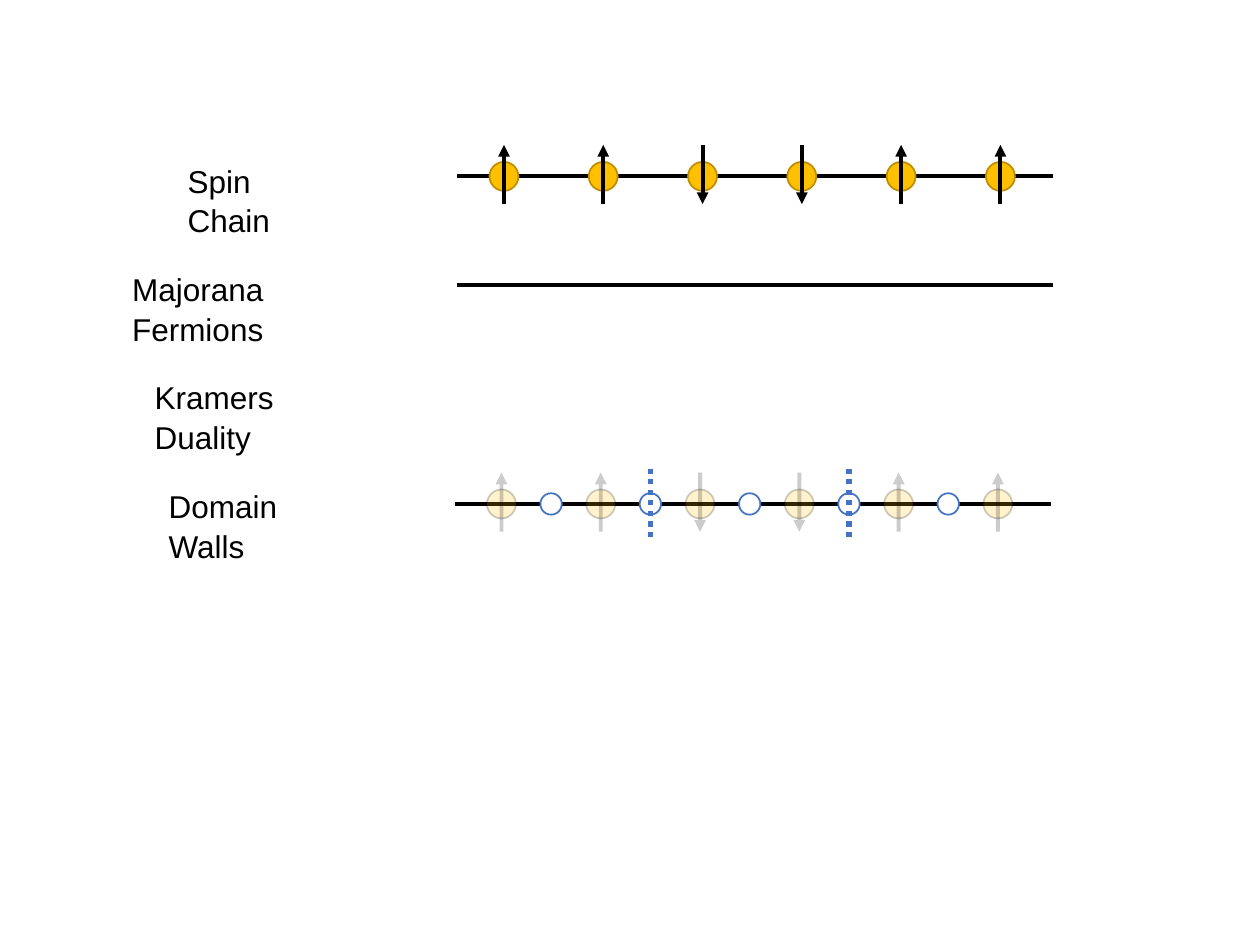
from lxml.etree import SubElement
from pptx import Presentation
from pptx.dml.color import RGBColor
from pptx.enum.dml import MSO_LINE
from pptx.enum.shapes import MSO_CONNECTOR, MSO_SHAPE
from pptx.oxml.ns import qn
from pptx.util import Inches, Pt

BLACK = RGBColor(0x00, 0x00, 0x00)
WHITE = RGBColor(0xFF, 0xFF, 0xFF)
GOLD = RGBColor(0xFF, 0xC0, 0x00)
DARK_GOLD = RGBColor(0xBD, 0x8E, 0x00)
BLUE = RGBColor(0x44, 0x72, 0xC4)

SPINS_UP = [True, True, False, False, True, True]
STEP = 3.94 / 5
CHAIN_WIDTH = 6 * STEP
FIRST_SITE = 0.37

LABELS = [
    ("Spin\vChain", 1.39, 1.35),
    ("Majorana\vFermions", 0.95, 2.22),
    ("Kramers\vDuality", 1.13, 1.87),
    ("Domain\vWalls", 1.24, 1.65),
]


def set_alpha(fill, percent):
    """Make a solid fill partly transparent."""
    color = fill._xPr.find(qn("a:solidFill"))[0]
    SubElement(color, qn("a:alpha"), val=str(percent * 1000))


def add_text(s, text, x, y, w, h, size=18, color=BLACK, font="Arial", spacing=1.05):
    """Add a formatted text box."""
    tf = s.shapes.add_textbox(Inches(x), Inches(y), Inches(w), Inches(h)).text_frame
    tf.word_wrap = True
    p = tf.paragraphs[0]
    p.text = text
    p.line_spacing = spacing
    for r in p.runs:
        r.font.name = font
        r.font.size = Pt(size)
        r.font.color.rgb = color


def add_line(shapes, x1, y1, x2, y2, color=BLACK, width=2.25, dash=None,
             arrow=False, alpha=None):
    """Add a straight line, optionally dashed, faded or with an arrowhead."""
    line = shapes.add_connector(MSO_CONNECTOR.STRAIGHT, Inches(x1), Inches(y1),
                                Inches(x2), Inches(y2))
    line.line.color.rgb = color
    line.line.width = Pt(width)
    if alpha:
        set_alpha(line.line.fill, alpha)
    if dash:
        line.line.dash_style = dash
    if arrow:
        SubElement(line.line._get_or_add_ln(), qn("a:tailEnd"), type="triangle")
    SubElement(line._element.spPr, qn("a:effectLst"))


def add_circle(shapes, x, y, size, fill, outline, alpha=None):
    """Add a circle centred at x, y."""
    sp = shapes.add_shape(MSO_SHAPE.OVAL, Inches(x - size / 2), Inches(y - size / 2),
                          Inches(size), Inches(size))
    sp.shadow.inherit = False
    sp.fill.solid()
    sp.fill.fore_color.rgb = fill
    sp.line.color.rgb = outline
    sp.line.width = Pt(1)
    if alpha:
        set_alpha(sp.fill, alpha)
        set_alpha(sp.line.fill, alpha)


def add_chain(s, x, y):
    """Add the horizontal line of a chain."""
    add_line(s.shapes, x, y, x + CHAIN_WIDTH, y)


def add_spins(s, x, y, outline, alpha=None):
    """Add a group of circles with up and down arrows along a chain."""
    shapes = s.shapes.add_group_shape().shapes
    top, bottom = y - 0.25, y + 0.22
    for i, up in enumerate(SPINS_UP):
        cx = x + FIRST_SITE + i * STEP
        add_circle(shapes, cx, y, 0.23, GOLD, outline, alpha)
        start, end = (bottom, top) if up else (top, bottom)
        add_line(shapes, cx, start, cx, end, arrow=True, alpha=alpha)


def add_walls(s, x, y):
    """Add the bond circles and a dotted line wherever the spin flips."""
    shapes = s.shapes.add_group_shape().shapes
    bonds = [x + FIRST_SITE + (i + 0.5) * STEP for i in range(len(SPINS_UP) - 1)]
    for cx in bonds:
        add_circle(shapes, cx, y, 0.17, WHITE, BLUE)
    for cx, left, right in zip(bonds, SPINS_UP, SPINS_UP[1:]):
        if left != right:
            add_line(shapes, cx, y - 0.28, cx, y + 0.27, color=BLUE, width=3,
                     dash=MSO_LINE.ROUND_DOT)


def main():
    """Build the slide and save it."""
    prs = Presentation()
    prs.slide_width, prs.slide_height = Inches(10), Inches(7.5)
    s = prs.slides.add_slide(prs.slide_layouts[6])

    for i, (text, x, w) in enumerate(LABELS):
        add_text(s, text, x, 1.22 + 0.86 * i, w, 0.7)

    add_chain(s, 3.63, 1.4)
    add_spins(s, 3.63, 1.4, DARK_GOLD)
    add_chain(s, 3.63, 2.26)
    add_chain(s, 3.61, 4)
    add_spins(s, 3.61, 4, BLACK, alpha=20)
    add_walls(s, 3.61, 4)

    prs.save("out.pptx")


main()
